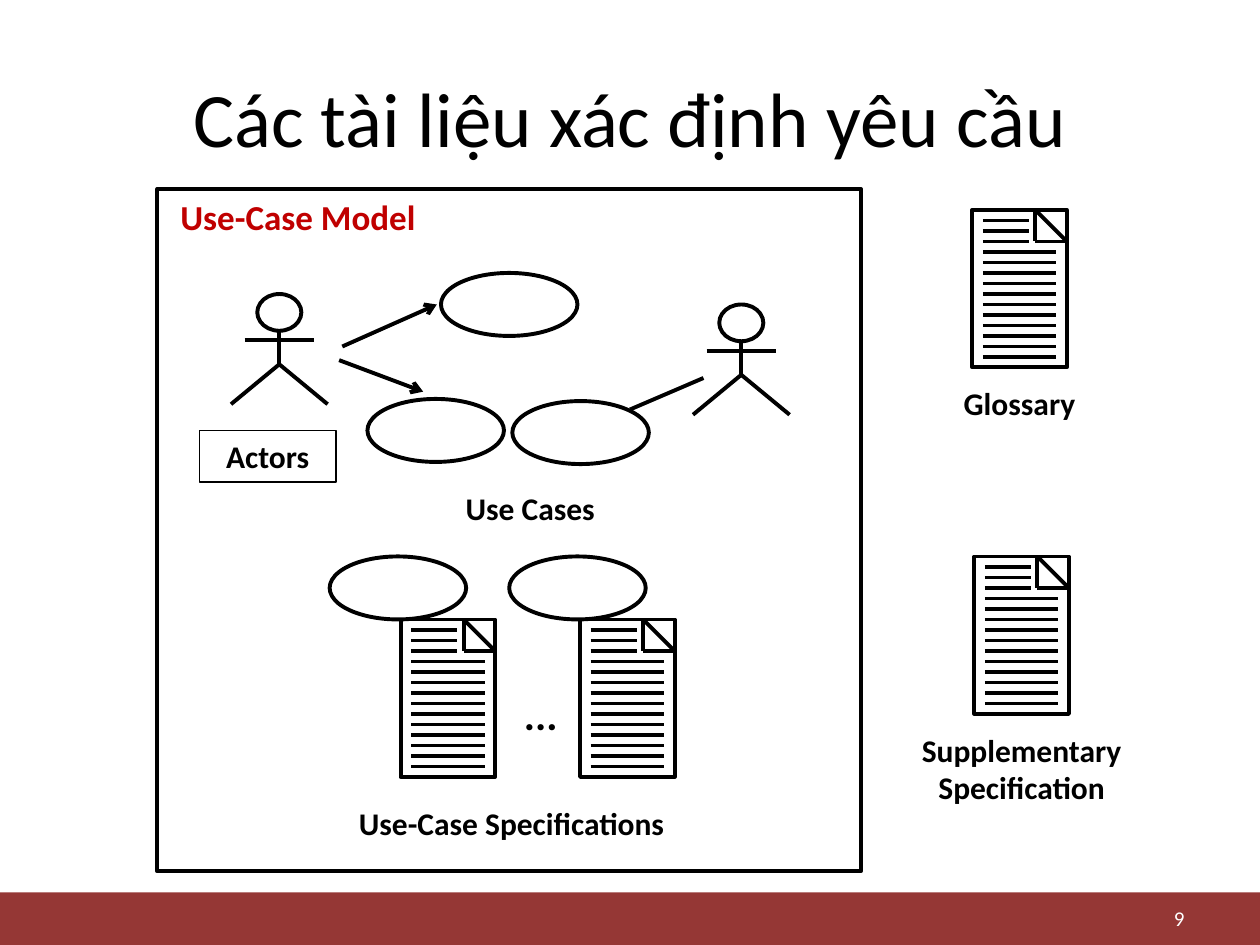
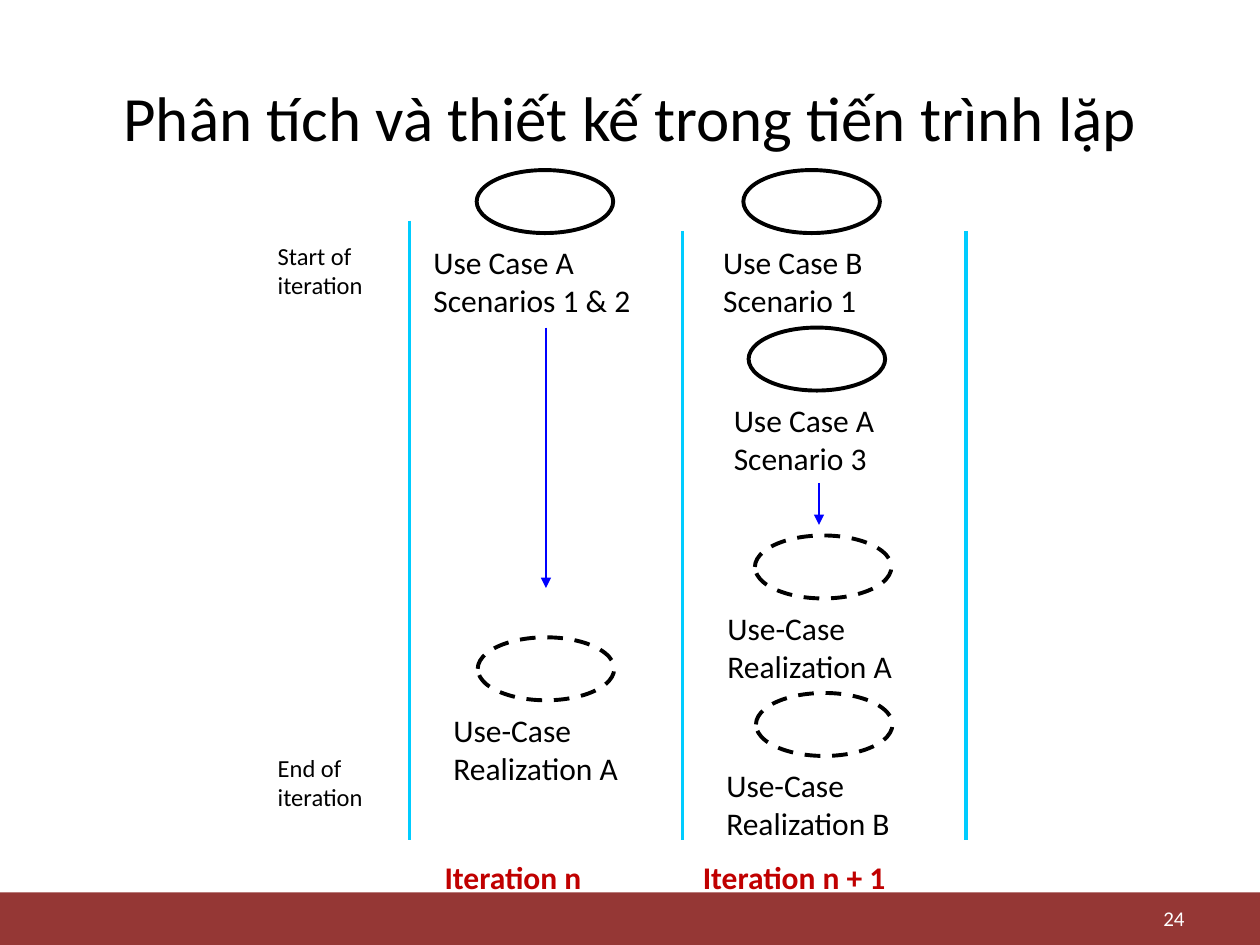
import lxml.etree
import pptx
import pptx.dml.color
import pptx.enum.dml
import pptx.enum.shapes
import pptx.enum.text
import pptx.oxml.ns
import pptx.util

RGB = pptx.dml.color.RGBColor
SHAPE = pptx.enum.shapes.MSO_SHAPE
ALIGN = pptx.enum.text.PP_ALIGN
ANCHOR = pptx.enum.text.MSO_ANCHOR
DASH = pptx.enum.dml.MSO_LINE.DASH

BLACK = RGB(0x00, 0x00, 0x00)
WHITE = RGB(0xFF, 0xFF, 0xFF)
MAROON = RGB(0x95, 0x37, 0x35)
RED = RGB(0xC0, 0x00, 0x00)
CYAN = RGB(0x00, 0xCC, 0xFF)
BLUE = RGB(0x00, 0x00, 0xFF)
FONT = "Calibri"

COLS, ROWS = 120, 90
SLIDE_W, SLIDE_H = pptx.util.Inches(10), pptx.util.Inches(7.5)
OVAL_W, OVAL_H = 13, 6
DOC_W, DOC_H = 9, 15


def col(n):
    return round(SLIDE_W * n / COLS)


def row(n):
    return round(SLIDE_H * n / ROWS)


def place(x, y, w, h):
    return col(x), row(y), col(w), row(h)


def write(tf, text, size=18, color=BLACK, bold=False, align=ALIGN.LEFT,
          anchor=ANCHOR.TOP, wrap=True, grow=True, inset=None):
    tf.word_wrap = wrap
    tf.vertical_anchor = anchor
    if grow:
        tf.auto_size = pptx.enum.text.MSO_AUTO_SIZE.SHAPE_TO_FIT_TEXT
    if inset:
        tf.margin_left = tf.margin_right = pptx.util.Inches(inset)
        tf.margin_top = tf.margin_bottom = pptx.util.Inches(inset / 2)
    for i, line in enumerate(text.split("\n")):
        p = tf.add_paragraph() if i else tf.paragraphs[0]
        p.alignment = align
        r = p.add_run()
        r.text = line
        r.font.name = FONT
        r.font.size = pptx.util.Pt(size)
        r.font.bold = bold
        r.font.color.rgb = color


def label(shapes, text, x, y, w, h, **fmt):
    write(shapes.add_textbox(*place(x, y, w, h)).text_frame, text, **fmt)


def outline(sp, width=2.25, dash=None):
    sp.shadow.inherit = False
    sp.fill.background()
    sp.line.color.rgb = BLACK
    sp.line.width = pptx.util.Pt(width)
    if dash:
        sp.line.dash_style = dash
    return sp


def frame(shapes, kind, x, y, w, h, **fmt):
    return outline(shapes.add_shape(kind, *place(x, y, w, h)), **fmt)


def oval(shapes, x, y, **fmt):
    return frame(shapes, SHAPE.OVAL, x, y, OVAL_W, OVAL_H, **fmt)


def line(shapes, x1, y1, x2, y2, color=BLACK, width=2.25, head=None):
    c = shapes.add_connector(pptx.enum.shapes.MSO_CONNECTOR.STRAIGHT,
                             col(x1), row(y1), col(x2), row(y2))
    c.line.color.rgb = color
    c.line.width = pptx.util.Pt(width)
    qn = pptx.oxml.ns.qn
    if head:
        lxml.etree.SubElement(c.line._get_or_add_ln(), qn("a:tailEnd"), type=head)
    lxml.etree.SubElement(c._element.spPr, qn("a:effectLst"))


def document(shapes, x, y):
    frame(shapes, SHAPE.RECTANGLE, x, y, DOC_W, DOC_H)
    fold = 3
    left, right, bottom = x + DOC_W - fold, x + DOC_W, y + fold
    line(shapes, left, y, right, bottom)
    line(shapes, left, y, left, bottom)
    line(shapes, right, bottom, left, bottom)
    for n in range(1, DOC_H):
        end = 5.4 if n <= fold else DOC_W - 1
        line(shapes, x + 1, y + n, x + end, y + n)


def captioned_document(s, x, y, caption, w, h):
    document(s.shapes.add_group_shape().shapes, x, y)
    label(s.shapes, caption, x + (DOC_W - w) / 2, y + DOC_H + 1, w, h,
          bold=True, align=ALIGN.CENTER, wrap=False)


def specification(s, x, y):
    shapes = s.shapes.add_group_shape().shapes
    oval(shapes, x, y)
    document(shapes, x + 6.75, y + OVAL_H)


def actor(s, x, y):
    shapes = s.shapes.add_group_shape().shapes
    middle, hip, foot = x + 4.6, y + 6.7, y + 10.5
    frame(shapes, SHAPE.OVAL, x + 2.5, y, 4.2, 3.5)
    line(shapes, middle, y + 3.5, middle, hip)
    line(shapes, x + 1.3, y + 4.4, x + 7.9, y + 4.4)
    legs = shapes.build_freeform(col(x), row(foot))
    legs.add_line_segments([(col(middle), row(hip)), (col(x + 9.2), row(foot))],
                           close=False)
    outline(legs.convert_to_shape())


def use_case_model(s, x, y, w, h):
    frame(s.shapes, SHAPE.RECTANGLE, x, y, w, h)
    label(s.shapes, "Use-Case Model", x + 1, y, 29, 5.2, size=20, color=RED, bold=True)

    for dx, dy in ((7, 10), (51, 11)):
        actor(s, x + dx, y + dy)
    for dx, dy in ((27, 8), (20, 20), (33.8, 20.2)):
        oval(s.shapes, x + dx, y + dy)
    for x1, y1, x2, y2, head in ((17.6, 15, 26.6, 11, "arrow"),
                                 (17.3, 16.3, 25.3, 19.3, "arrow"),
                                 (45, 21, 52, 18, None)):
        line(s.shapes, x + x1, y + y1, x + x2, y + y2, head=head)

    actors = frame(s.shapes, SHAPE.RECTANGLE, x + 4, y + 23, 13, 4.9, width=0.75)
    write(actors.text_frame, "Actors", bold=True, align=ALIGN.CENTER)
    label(s.shapes, "Use Cases", x + 26, y + 28, 19, 4.8, bold=True, align=ALIGN.CENTER)

    for dx in (16.4, 33.5):
        specification(s, x + dx, y + 35)
    label(s.shapes, "...", x + 33.5, y + 47, 6, 6, size=24, bold=True,
          align=ALIGN.CENTER)
    label(s.shapes, "Use-Case Specifications", x + 18, y + 58, 37.2, 4.8,
          bold=True, wrap=False)


def labelled_oval(s, x, y, text, dx, w, dash=None):
    shapes = s.shapes.add_group_shape().shapes
    oval(shapes, x, y, dash=dash)
    label(shapes, text, x + dx, y + OVAL_H + 0.4, w, 8.4, wrap=False)


def iterations(s, x, y, w, h):
    for dx, dy in ((0, 0), (26, 1), (w, 1)):
        line(s.shapes, x + dx, y + dy, x + dx, y + h, color=CYAN)
    for text, dx, width in (("Iteration n", 1.9, 16), ("Iteration n + 1", 26.5, 20.4)):
        label(s.shapes, text, x + dx, y + h + 1, width, 5, color=RED, bold=True,
              wrap=False, inset=0.12)
    for text, dy in (("Start of\niteration", 1.2), ("End of\niteration", 50)):
        label(s.shapes, text, x - 14, y + dy, 11.2, 7, size=14, wrap=False, inset=0.12)
    for dx, dy, text, shift, width, dash in (
            (6.4, -4.8, "Use Case A\nScenarios 1 & 2", -5.3, 23.6, None),
            (6.5, 39.7, "Use-Case\nRealization A", -3.5, 20, DASH),
            (31.8, -4.8, "Use Case B\nScenario 1", -3.1, 19.2, None),
            (32.3, 10.2, "Use Case A\nScenario 3", -2.6, 18.4, None),
            (32.9, 30, "Use-Case\nRealization A", -3.8, 20.9, DASH),
            (33, 45, "Use-Case\nRealization B", -4, 20.9, DASH)):
        labelled_oval(s, x + dx, y + dy, text, shift, width, dash)
    for dx, top, bottom in ((13, 10.2, 35), (39, 25, 29)):
        line(s.shapes, x + dx, y + top, x + dx, y + bottom, color=BLUE, width=0.75,
             head="triangle")


def titled_slide(prs, title, size, number):
    s = prs.slides.add_slide(prs.slide_layouts[5])
    band = s.shapes.add_shape(SHAPE.RECTANGLE, *place(0, 85, COLS, 5))
    band.shadow.inherit = False
    band.fill.solid()
    band.fill.fore_color.rgb = MAROON
    band.line.fill.background()
    sp = s.shapes.title
    sp.left, sp.top, sp.width, sp.height = place(6, 3.6, 108, 15)
    write(sp.text_frame, title, size=size, align=ALIGN.CENTER, anchor=ANCHOR.MIDDLE,
          grow=False)
    label(s.shapes, number, 86, 85.8, 28, 3.2, size=12, color=WHITE,
          align=ALIGN.RIGHT, anchor=ANCHOR.MIDDLE, grow=False)
    return s


def requirements_slide(prs):
    s = titled_slide(prs, "Các tài liệu xác định yêu cầu", 44, "9")
    use_case_model(s, 15, 18, 67, 65)
    captioned_document(s, 92.6, 20, "Glossary", 15.2, 4.8)
    captioned_document(s, 92.8, 53, "Supplementary\nSpecification", 24.1, 8.4)


def iterations_slide(prs):
    s = titled_slide(prs, "Phân tích và thiết kế trong tiến trình lặp", 36, "24")
    iterations(s, 39, 21, 53, 59)


def main():
    prs = pptx.Presentation()
    prs.slide_width, prs.slide_height = SLIDE_W, SLIDE_H
    requirements_slide(prs)
    iterations_slide(prs)
    prs.save("out.pptx")


if __name__ == "__main__":
    main()
